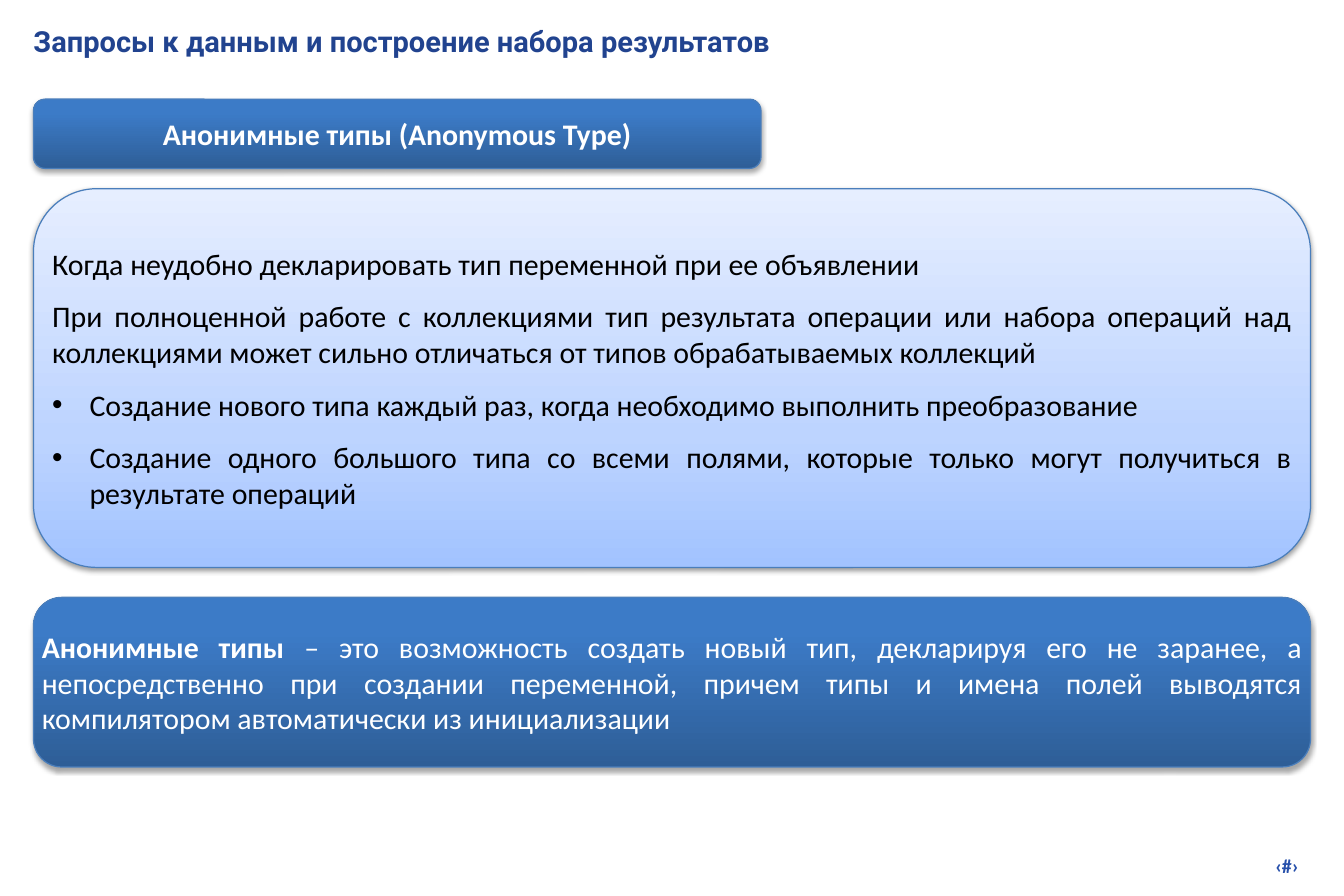
from lxml import etree
from pptx import Presentation
from pptx.dml.color import RGBColor
from pptx.enum.shapes import MSO_SHAPE
from pptx.enum.text import MSO_ANCHOR, PP_ALIGN
from pptx.oxml.ns import qn
from pptx.util import Pt

ROUND = MSO_SHAPE.ROUNDED_RECTANGLE
TOP, MIDDLE = MSO_ANCHOR.TOP, MSO_ANCHOR.MIDDLE
LEFT, CENTER, RIGHT, JUSTIFY = PP_ALIGN.LEFT, PP_ALIGN.CENTER, PP_ALIGN.RIGHT, PP_ALIGN.JUSTIFY
COLORS = {"title": "21438F", "number": "2750AB", "edge": "4A7EBB",
          "black": "000000", "white": "FFFFFF"}
DARK = {"stops": [(0, "2E5E97"), (80, "3C7BC7"), (100, "3A7CCA")], "alpha": 35, "drop": 1.8}
LIGHT = {"stops": [(0, "A2C3FF"), (35, "BDD4FF"), (100, "E6EEFF")], "alpha": 38, "drop": 1.6}
SIDE = 20.16
WIDE = 769.7


def node(parent, tag, **attrs):
    """Add a drawing element with the given attributes."""
    return etree.SubElement(parent, qn(tag), {k: str(v) for k, v in attrs.items()})


def write(shapes, box, paras, font="Calibri", size=18, color="black", bold=False,
          align=LEFT, anchor=TOP, inset=0, bullets=()):
    """Add a text box; each paragraph is a list of (text, bold) runs or a string."""
    frame = shapes.add_textbox(*map(Pt, box)).text_frame
    frame.word_wrap = True
    frame.vertical_anchor = anchor
    frame.margin_left = frame.margin_right = Pt(inset)
    frame.margin_top = frame.margin_bottom = Pt(inset)
    for i, runs in enumerate(paras):
        para = frame.add_paragraph() if i else frame.paragraphs[0]
        para.alignment = align
        if i:
            para.space_before = Pt(10)
        if i in bullets:
            props = para._p.get_or_add_pPr()
            props.set("marL", str(Pt(22.5)))
            props.set("indent", str(-Pt(22.5)))
            node(props, "a:buFont", typeface="Arial")
            node(props, "a:buChar", char="•")
        for text, heavy in [(runs, bold)] if isinstance(runs, str) else runs:
            run = para.add_run()
            run.text = text
            run.font.name, run.font.size, run.font.bold = font, Pt(size), heavy
            run.font.color.rgb = RGBColor.from_string(COLORS[color])


def paint(shape, stops, alpha, drop):
    """Give a shape its upward gradient, thin edge and soft shadow."""
    props = shape._element.spPr
    grad = etree.Element(qn("a:gradFill"), rotWithShape="1")
    marks = node(grad, "a:gsLst")
    for pos, color in stops:
        node(node(marks, "a:gs", pos=pos * 1000), "a:srgbClr", val=color)
    node(grad, "a:lin", ang=270 * 60000, scaled=0)
    props.find(qn("a:prstGeom")).addnext(grad)
    shape.line.color.rgb = RGBColor.from_string(COLORS["edge"])
    shape.line.width = Pt(0.75)
    shape.shadow.inherit = False
    shade = node(props.find(qn("a:effectLst")), "a:outerShdw", blurRad=Pt(3),
                 dist=Pt(drop), dir=90 * 60000, rotWithShape=0)
    tint = node(shade, "a:srgbClr", val=COLORS["black"])
    node(tint, "a:alpha", val=alpha * 1000)


def panel(slide, box, pad, look, paras, **style):
    """Group a rounded panel with its text, inset by pad on each axis."""
    x, y, w, h = box
    dx, dy = pad
    shapes = slide.shapes.add_group_shape().shapes
    paint(shapes.add_shape(ROUND, *map(Pt, box)), **look)
    write(shapes, (x + dx, y + dy, w - 2 * dx, h - 2 * dy), paras, anchor=MIDDLE, **style)


def frame(slide, box):
    """Place the title and the page number in the slide box."""
    x, y, w, h = box
    write(slide.shapes, (x + SIDE, y + 14.4, w - 36.7, 28.8),
          ["Запросы к данным и построение набора результатов"],
          font="Roboto", size=17.5, color="title", bold=True)
    write(slide.shapes, (x + w - 195.1, y + h - 28.8, 171.4, 20.9), ["‹#›"],
          size=12, color="number", bold=True, align=RIGHT, inset=3.6)


def main():
    """Build the slide on anonymous types."""
    deck = Presentation()
    deck.slide_width, deck.slide_height = Pt(810), Pt(540)
    slide = deck.slides.add_slide(deck.slide_layouts[6])
    frame(slide, (0, 0, 810, 540))
    panel(slide, (SIDE, 59.76, 438.5, 41.76), (2.2, 6.2), DARK,
          ["Анонимные типы (Anonymous Type)"], color="white", bold=True, align=CENTER)
    panel(slide, (SIDE, 113.76, WIDE, 228.24), (11.3, 33.5), LIGHT, [
        "Когда неудобно декларировать тип переменной при ее объявлении",
        "При полноценной работе с коллекциями тип результата операции или набора "
        "операций над коллекциями может сильно отличаться от типов обрабатываемых коллекций",
        "Создание нового типа каждый раз, когда необходимо выполнить преобразование",
        "Создание одного большого типа со всеми полями, которые только могут "
        "получиться в результате операций",
    ], align=JUSTIFY, bullets=(2, 3))
    panel(slide, (SIDE, 360, WIDE, 102.24), (5, 14.4), DARK, [[
        ("Анонимные типы ", True),
        ("– это возможность создать новый тип, декларируя его не заранее, а "
         "непосредственно при создании переменной, причем типы и имена полей "
         "выводятся компилятором автоматически из инициализации", False),
    ]], color="white", align=JUSTIFY)
    deck.save("out.pptx")


if __name__ == "__main__":
    main()
